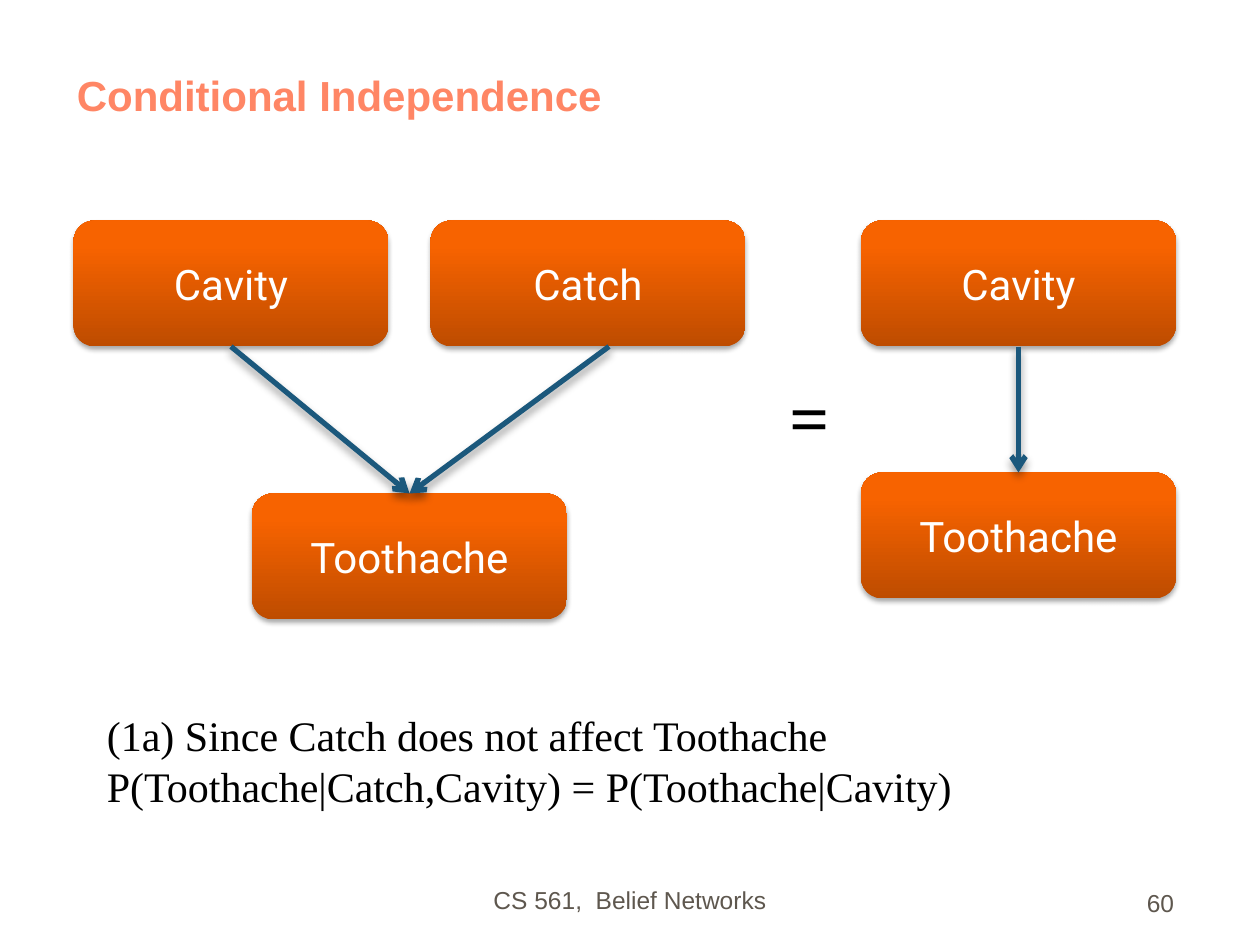
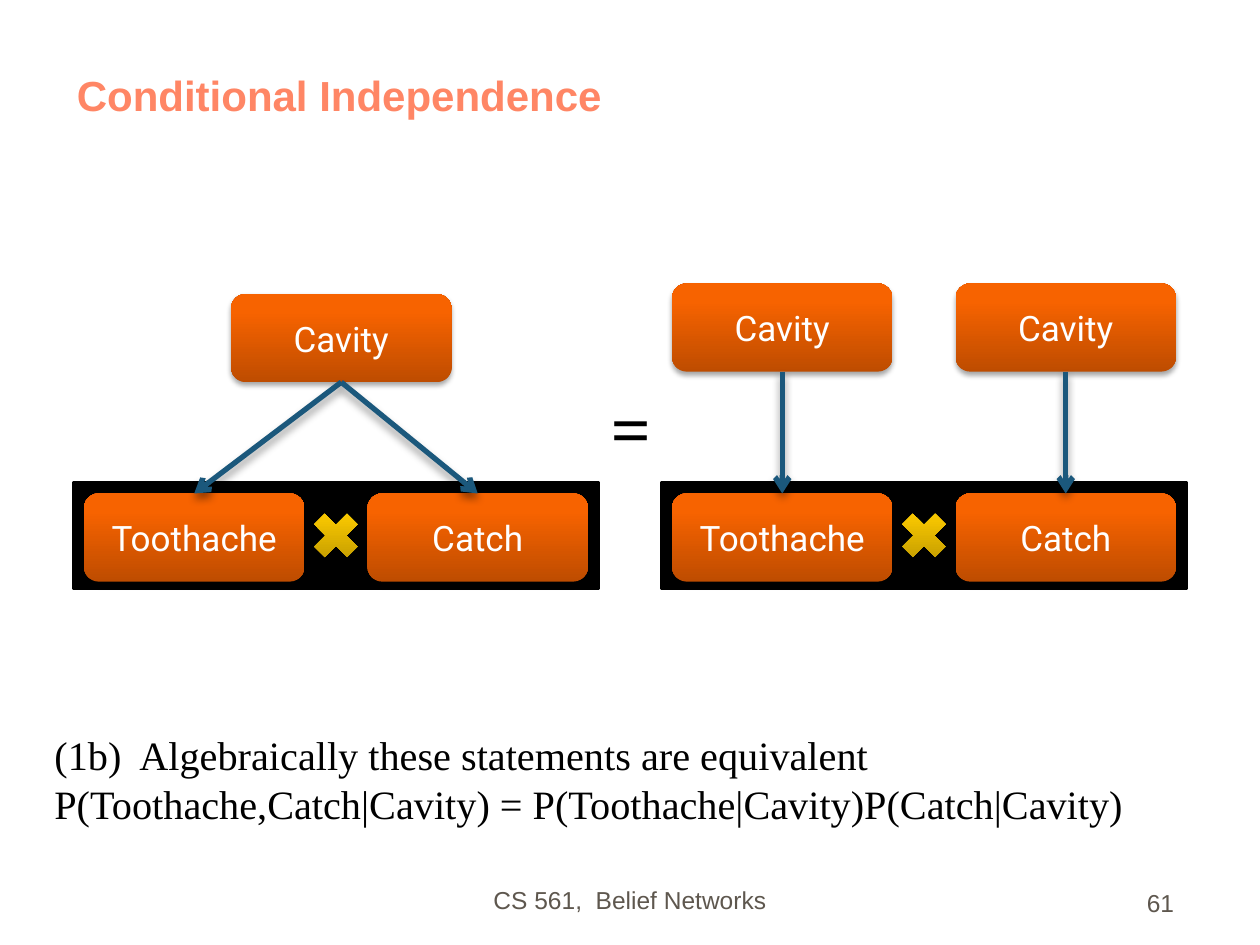
from collections import namedtuple

from lxml import etree
from pptx import Presentation
from pptx.dml.color import RGBColor
from pptx.enum import shapes, text
from pptx.oxml import ns
from pptx.util import Pt

COLORS = {
    "title": "FF8665", "footer": "5E574E", "ink": "000000",
    "label": "FFFFFF", "arrow": "1B587C",
}
ORANGE = [(0, "BE4C00"), (80, "F76300"), (100, "F86300")]
GOLD = [(0, "BE9800"), (80, "F7C600"), (100, "F8C700")]
TOP, BOTTOM = 0, 2
PANEL_PAD = 6
TIMES_SIZE = 36

Box = namedtuple("Box", "left top width height")
Style = namedtuple("Style", "font size color bold", defaults=(False,))
NodeSize = namedtuple("NodeSize", "width height font_size")

LARGE = NodeSize(180, 72, 24)
SMALL = NodeSize(126, 50.4, 20)
FOOTER = Style("Arial", 14, "footer")


def points(box):
    """Convert a box to lengths in points."""
    return [Pt(length) for length in box]


def write(frame, lines, style, align=text.PP_ALIGN.LEFT, anchor=text.MSO_ANCHOR.TOP):
    """Write each line as a styled paragraph."""
    frame.vertical_anchor = anchor
    for index, line in enumerate(lines):
        paragraph = frame.add_paragraph() if index else frame.paragraphs[0]
        paragraph.alignment = align
        run = paragraph.add_run()
        run.text = line
        run.font.name = style.font
        run.font.size = Pt(style.size)
        run.font.bold = style.bold
        run.font.color.rgb = RGBColor.from_string(COLORS[style.color])


def add_text(slide, box, lines, style, wrap=True, **layout):
    """Add a text box."""
    frame = slide.shapes.add_textbox(*points(box)).text_frame
    frame.word_wrap = wrap
    write(frame, lines, style, **layout)


def add_element(parent, tag, **attributes):
    """Append a drawing element to a parent."""
    child = etree.SubElement(parent, ns.qn(tag))
    for name, value in attributes.items():
        child.set(name, str(value))
    return child


def add_shadow(properties, blur, distance, opacity):
    """Cast a soft black shadow straight down."""
    shadow = add_element(add_element(properties, "a:effectLst"), "a:outerShdw",
                         blurRad=int(Pt(blur)), dist=int(Pt(distance)),
                         dir=5400000, rotWithShape=0)
    color = add_element(shadow, "a:srgbClr", val=COLORS["ink"])
    add_element(color, "a:alpha", val=opacity * 1000)


def add_glossy(slide, preset, box, stops):
    """Add a borderless shape with a vertical gradient and a shadow."""
    shape = slide.shapes.add_shape(preset, *points(box))
    shape.fill.gradient()
    shape.fill.gradient_angle = 90
    properties = shape._element.spPr
    stop_list = properties.find(".//" + ns.qn("a:gsLst"))
    for stop in list(stop_list):
        stop_list.remove(stop)
    for position, color in stops:
        stop = add_element(stop_list, "a:gs", pos=position * 1000)
        add_element(stop, "a:srgbClr", val=color)
    shape.line.fill.background()
    add_shadow(properties, 3.1, 1.8, 35)
    return shape


def add_node(slide, left, top, size, label):
    """Add a network node with its label."""
    node = add_glossy(slide, shapes.MSO_SHAPE.FLOWCHART_ALTERNATE_PROCESS,
                      Box(left, top, size.width, size.height), ORANGE)
    write(node.text_frame, [label], Style("Roboto", size.font_size, "label"),
          text.PP_ALIGN.CENTER, text.MSO_ANCHOR.MIDDLE)
    return node


def add_arrow(slide, cause, effect, shift=0):
    """Draw an arrow from cause to effect, joined unless its start is shifted."""
    start_x = cause.left + cause.width // 2 + Pt(shift)
    start_y = cause.top + cause.height
    arrow = slide.shapes.add_connector(shapes.MSO_CONNECTOR.STRAIGHT, start_x, start_y,
                                       effect.left + effect.width // 2, effect.top)
    if not shift:
        arrow.begin_connect(cause, BOTTOM)
    arrow.end_connect(effect, TOP)
    arrow.line.color.rgb = RGBColor.from_string(COLORS["arrow"])
    arrow.line.width = Pt(3)
    add_element(arrow.line._get_or_add_ln(), "a:tailEnd", type="arrow")
    add_shadow(arrow._element.spPr, 5, 3, 40)


def two_causes(slide, box):
    """Draw Cavity and Catch both leading to Toothache."""
    right = box.left + box.width - LARGE.width
    bottom = box.top + box.height - LARGE.height
    cavity = add_node(slide, box.left, box.top, LARGE, "Cavity")
    catch = add_node(slide, right, box.top, LARGE, "Catch")
    toothache = add_node(slide, (box.left + right) / 2, bottom, LARGE, "Toothache")
    add_arrow(slide, cavity, toothache)
    add_arrow(slide, catch, toothache, shift=12)


def one_cause(slide, box):
    """Draw Cavity leading to Toothache."""
    cavity = add_node(slide, box.left, box.top, LARGE, "Cavity")
    toothache = add_node(slide, box.left, box.top + box.height - LARGE.height,
                         LARGE, "Toothache")
    add_arrow(slide, cavity, toothache)


def product_row(slide, box):
    """Draw Toothache times Catch on a black panel at the foot of the box."""
    top = box.top + box.height - SMALL.height
    panel = slide.shapes.add_shape(
        shapes.MSO_SHAPE.RECTANGLE,
        *points(Box(box.left - PANEL_PAD, top - PANEL_PAD, box.width + 2 * PANEL_PAD, 60)))
    panel.shadow.inherit = False
    panel.fill.solid()
    panel.fill.fore_color.rgb = RGBColor.from_string(COLORS["ink"])
    panel.line.color.rgb = RGBColor.from_string(COLORS["ink"])
    panel.line.width = Pt(2)
    toothache = add_node(slide, box.left, top, SMALL, "Toothache")
    catch = add_node(slide, box.left + box.width - SMALL.width, top, SMALL, "Catch")
    times_left = box.left + (box.width - TIMES_SIZE) / 2
    add_glossy(slide, shapes.MSO_SHAPE.MATH_MULTIPLY,
               Box(times_left, top + 6, TIMES_SIZE, TIMES_SIZE), GOLD)
    return toothache, catch


def shared_cause(slide, box):
    """Draw one Cavity leading to both effects."""
    effects = product_row(slide, box)
    cavity = add_node(slide, box.left + 84, box.top, SMALL, "Cavity")
    for effect in effects:
        add_arrow(slide, cavity, effect)


def separate_causes(slide, box):
    """Draw a Cavity of its own above each effect."""
    lefts = box.left, box.left + box.width - SMALL.width
    for left, effect in zip(lefts, product_row(slide, box)):
        add_arrow(slide, add_node(slide, left, box.top, SMALL, "Cavity"), effect)


def equals_sign(slide, left, top):
    """Place the equals sign between two graphs."""
    add_text(slide, Box(left, top, 37.5, 55.5), ["="],
             Style("Times New Roman", 40, "ink", True), wrap=False)


def statement(slide, box, size, lines):
    """Write the statement below the graphs."""
    add_text(slide, box, lines, Style("Times New Roman", size, "ink"))


def base_slide(deck, number):
    """Add a slide with the shared title and footers."""
    slide = deck.slides.add_slide(deck.slide_layouts[5])
    title = slide.shapes.title
    title.left, title.top, title.width, title.height = points(Box(36.72, 18, 642, 54))
    title.text_frame.auto_size = text.MSO_AUTO_SIZE.NONE
    write(title.text_frame, ["Conditional Independence"],
          Style("Arial", 24, "title", True), anchor=text.MSO_ANCHOR.BOTTOM)
    add_text(slide, Box(246, 490.3, 228, 36), ["CS 561,  Belief Networks"], FOOTER,
             align=text.PP_ALIGN.CENTER, anchor=text.MSO_ANCHOR.BOTTOM)
    add_text(slide, Box(528, 492, 150, 36), [str(number)], FOOTER,
             align=text.PP_ALIGN.RIGHT, anchor=text.MSO_ANCHOR.BOTTOM)
    return slide


def conditional_slide(deck):
    """Show that Catch does not affect Toothache."""
    slide = base_slide(deck, 60)
    two_causes(slide, Box(42, 126, 384, 228))
    equals_sign(slide, 444, 210)
    one_cause(slide, Box(492, 126, 180, 216))
    statement(slide, Box(54, 402, 630, 65.5), 24, [
        "(1a) Since Catch does not affect Toothache",
        "P(Toothache|Catch,Cavity) = P(Toothache|Cavity)",
    ])


def product_slide(deck):
    """Show the equivalent product of conditionals."""
    slide = base_slide(deck, 61)
    shared_cause(slide, Box(48, 168, 288, 164.4))
    equals_sign(slide, 342, 216)
    separate_causes(slide, Box(384, 162, 288, 170.4))
    statement(slide, Box(24, 414, 648, 63.4), 23, [
        "(1b)  Algebraically these statements are equivalent",
        "P(Toothache,Catch|Cavity) = P(Toothache|Cavity)P(Catch|Cavity)",
    ])


def main():
    """Build and save the deck."""
    deck = Presentation()
    deck.slide_width, deck.slide_height = Pt(720), Pt(540)
    conditional_slide(deck)
    product_slide(deck)
    deck.save("out.pptx")


if __name__ == "__main__":
    main()
